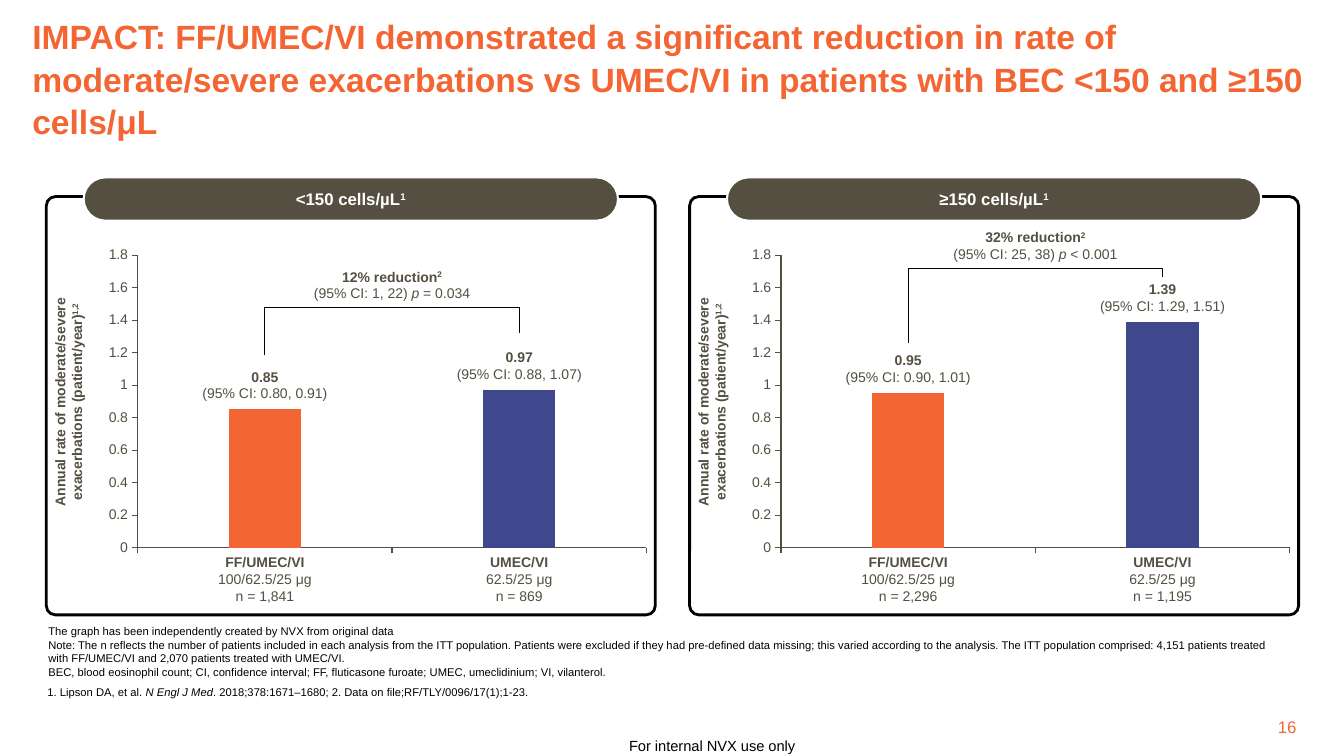
from dataclasses import dataclass
from lxml import etree
from pptx import Presentation
from pptx.chart.data import CategoryChartData
from pptx.dml.color import RGBColor
from pptx.enum.chart import XL_CHART_TYPE, XL_TICK_LABEL_POSITION, XL_TICK_MARK
from pptx.enum.shapes import MSO_SHAPE
from pptx.enum.text import MSO_ANCHOR, MSO_AUTO_SIZE, PP_ALIGN
from pptx.oxml.ns import qn
from pptx.util import Inches, Pt

LEFT, MID, RIGHT = PP_ALIGN.LEFT, PP_ALIGN.CENTER, PP_ALIGN.RIGHT
TOP, CORE, LOW = MSO_ANCHOR.TOP, MSO_ANCHOR.MIDDLE, MSO_ANCHOR.BOTTOM
ROUND = MSO_SHAPE.ROUNDED_RECTANGLE
COLUMN = XL_CHART_TYPE.COLUMN_CLUSTERED
OUT, NONE = XL_TICK_MARK.OUTSIDE, XL_TICK_MARK.NONE
BARE = XL_TICK_LABEL_POSITION.NONE


@dataclass(frozen=True)
class Theme:
    font: str = "Arial"
    orange: str = "F36633"
    blue: str = "40488D"
    brown: str = "544F40"
    black: str = "000000"
    white: str = "FFFFFF"
    title: float = 24
    head: float = 12
    label: float = 10
    foot: float = 10.5
    note: float = 8


T = Theme()

# Content: a line is a list of (text, marks); b bold, i italic, ^ raised
TITLE = ("IMPACT: FF/UMEC/VI demonstrated a significant reduction in rate of "
         "moderate/severe exacerbations vs UMEC/VI in patients with BEC <150 "
         "and ≥150 cells/μL")
AXIS = [[("Annual rate of moderate/severe exacerbations (patient/year)", "b"),
         ("1,2", "b^")]]
ARMS = [("FF/UMEC/VI", "100/62.5/25 μg"), ("UMEC/VI", "62.5/25 μg")]
PANELS = [
    dict(head="<150 cells/µL", vals=(0.85, 0.97), n=("1,841", "869"),
         ci=("0.80, 0.91", "0.88, 1.07"), cut="12% reduction",
         span="(95% CI: 1, 22) ", p=" = 0.034", y=2.66, legs=(0.47, 0.25)),
    dict(head="≥150 cells/µL", vals=(0.95, 1.39), n=("2,296", "1,195"),
         ci=("0.90, 1.01", "1.29, 1.51"), cut="32% reduction",
         span="(95% CI: 25, 38) ", p=" < 0.001", y=2.27, legs=(0.74, 0.09)),
]
NOTES = [
    [("The graph has been independently created by NVX from original data", "")],
    [("Note: The n reflects the number of patients included in each analysis "
      "from the ITT population. Patients were excluded if they had pre-defined "
      "data missing; this varied according to the analysis. The ITT population "
      "comprised: 4,151 patients treated with FF/UMEC/VI and 2,070 patients "
      "treated with UMEC/VI.", "")],
    [("BEC, blood eosinophil count; CI, confidence interval; FF, fluticasone "
      "furoate; UMEC, umeclidinium; VI, vilanterol.", "")],
]
REFS = [[("1. Lipson DA, et al. ", ""), ("N Engl J Med", "i"),
         (". 2018;378:1671–1680; 2. Data on file;RF/TLY/0096/17(1);1-23.", "")]]

# Grid, in inches
PITCH = 6.38
CHART = (0.95, 2.29, 5.55, 3.27)
PLOT = dict(x=0.075, y=0.074, w=0.909, h=0.887)
PEAK = 1.8
PLOT_X = CHART[0] + PLOT["x"] * CHART[2]
PLOT_Y = CHART[1] + PLOT["y"] * CHART[3]
PLOT_W = PLOT["w"] * CHART[2]
PLOT_H = PLOT["h"] * CHART[3]

deck = Presentation()
deck.slide_width, deck.slide_height = Inches(13.33), Inches(7.5)
slide = deck.slides.add_slide(deck.slide_layouts[5])
shapes = slide.shapes


def rgb(code):
    return RGBColor.from_string(code)


def style(font, size, color):
    font.name, font.size = T.font, Pt(size)
    font.color.rgb = rgb(color)


def box(*at):
    return [Inches(v) for v in at]


def write(shape, lines, size, color, align=LEFT, anchor=TOP):
    frame = shape.text_frame
    frame.word_wrap, frame.auto_size = True, MSO_AUTO_SIZE.NONE
    frame.vertical_anchor = anchor
    frame.margin_left = frame.margin_right = 0
    frame.margin_top = frame.margin_bottom = 0
    for k, line in enumerate(lines):
        para = frame.add_paragraph() if k else frame.paragraphs[0]
        para.alignment = align
        style(para.font, size, color)
        para.font.bold = all("b" in marks for _, marks in line)
        for text, marks in line:
            run = para.add_run()
            run.text = text
            if "i" in marks:
                run.font.italic = True
            if "^" in marks:
                run._r.get_or_add_rPr().set("baseline", "30000")


def text(at, lines, size=T.label, color=T.brown, align=MID, anchor=TOP):
    shape = shapes.add_textbox(*box(*at))
    write(shape, lines, size, color, align, anchor)
    return shape


def pill(at, curve, line, width, fill=None):
    shape = shapes.add_shape(ROUND, *box(*at))
    shape.shadow.inherit = False
    shape.adjustments[0] = curve
    shape.line.color.rgb, shape.line.width = rgb(line), Pt(width)
    if fill:
        shape.fill.solid()
        shape.fill.fore_color.rgb = rgb(fill)
    else:
        shape.fill.background()
    return shape


def graph(dx, vals):
    data = CategoryChartData()
    data.categories = ["1", "2"]
    data.add_series("Series 1", vals)
    left, *rest = CHART
    chart = shapes.add_chart(COLUMN, *box(left + dx, *rest), data).chart
    chart.has_legend = chart.has_title = False
    style(chart.font, T.label, T.brown)
    bars = chart.plots[0]
    bars.gap_width, bars.overlap, bars.vary_by_categories = 250, -27, False
    for k, color in enumerate((T.orange, T.blue)):
        fill = bars.series[0].points[k].format.fill
        fill.solid()
        fill.fore_color.rgb = rgb(color)
    for axis in (chart.category_axis, chart.value_axis):
        axis.has_major_gridlines = False
        axis.major_tick_mark, axis.minor_tick_mark = OUT, NONE
        axis.format.line.color.rgb = rgb(T.brown)
        axis.format.line.width = Pt(0.75)
    chart.category_axis.tick_label_position = BARE
    scale = chart.value_axis
    scale.minimum_scale, scale.maximum_scale, scale.major_unit = 0, PEAK, 0.2
    scale.tick_labels.number_format = "General"
    scale.tick_labels.number_format_is_linked = False
    # Fixed inner plot area
    area = chart._chartSpace.chart.plotArea
    for old in area.findall(qn("c:layout")):
        area.remove(old)
    layout = etree.Element(qn("c:layout"))
    area.insert(0, layout)
    man = etree.SubElement(layout, qn("c:manualLayout"))
    modes = dict(layoutTarget="inner", xMode="edge", yMode="edge")
    for tag, val in (modes | PLOT).items():
        etree.SubElement(man, qn("c:" + tag)).set("val", str(val))


def bracket(x1, x2, y, legs):
    pen = shapes.build_freeform(Inches(x1), Inches(y + legs[0]))
    ends = [(x1, y), (x2, y), (x2, y + legs[1])]
    pen.add_line_segments([box(*pt) for pt in ends], close=False)
    shape = pen.convert_to_shape()
    shape.shadow.inherit = False
    shape.fill.background()
    shape.line.color.rgb, shape.line.width = rgb(T.black), Pt(0.75)


# Title
head = shapes.title
head.left, head.top, head.width, head.height = box(0.32, 0.21, 13.07, 1.19)
write(head, [[(TITLE, "b")]], T.title, T.orange, LEFT, LOW)
head.text_frame.paragraphs[0].line_spacing = 1.05

# Panels
for k, item in enumerate(PANELS):
    dx = k * PITCH
    pill((0.46 + dx, 1.95, 6.04, 4.15), 0.022, T.black, 2)
    tab = pill((0.83 + dx, 1.76, 5.3, 0.43), 0.5, T.white, 1.5, T.brown)
    write(tab, [[(item["head"], "b"), ("1", "b^")]], T.head, T.white, MID, CORE)
    side = text((-0.79 + dx, 3.82, 2.94, 0.34), AXIS)
    side.rotation = 270
    graph(dx, item["vals"])
    mids = [PLOT_X + dx + PLOT_W * share for share in (0.25, 0.75)]

    # Bar labels, above and below
    for x, arm, val, ci, n in zip(mids, ARMS, item["vals"], item["ci"], item["n"]):
        y = PLOT_Y + PLOT_H * (1 - val / PEAK) - 0.41
        text((x - 0.7, y, 1.4, 0.34),
             [[(f"{val:.2f}", "b")], [(f"(95% CI: {ci})", "")]])
        text((x - 0.6, 5.49, 1.2, 0.5),
             [[(arm[0], "b")], [(arm[1], "")], [(f"n = {n}", "")]])

    # Reduction between the bars
    text((sum(mids) / 2 - 1, item["y"], 2, 0.34),
         [[(item["cut"], "b"), ("2", "b^")],
          [(item["span"], ""), ("p", "i"), (item["p"], "")]])
    bracket(*mids, item["y"] + 0.39, item["legs"])

# Notes, references, page number, footer
text((0.48, 6.21, 12.3, 0.52), NOTES, T.note, T.black, LEFT, LOW)
text((0.47, 6.8, 11.76, 0.51), REFS, T.note, T.black, LEFT)
text((12.3, 6.91, 0.56, 0.4), [[("16", "")]], T.head, T.orange, RIGHT, LOW)
text((3.73, 7.31, 6.67, 0.19), [[("For internal NVX use only", "")]],
     T.foot, T.black)

deck.save("out.pptx")
